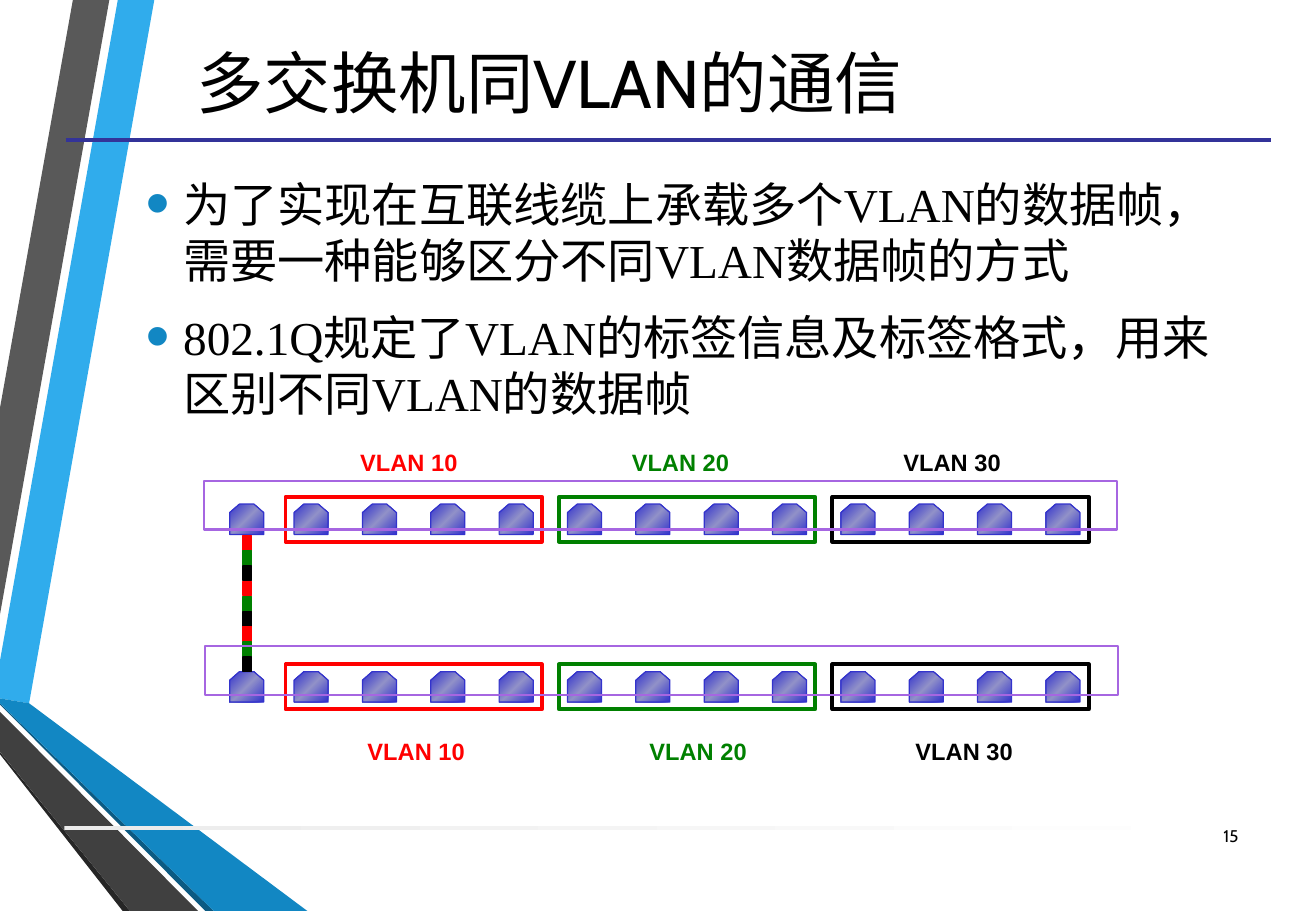
"""Draw a slide on VLAN traffic that spans two switches."""
import copy
import dataclasses
import typing

import lxml.etree
import pptx
import pptx.dml.color
import pptx.enum.shapes
import pptx.enum.text
import pptx.oxml.ns
import pptx.util

Inches = pptx.util.Inches
Pt = pptx.util.Pt
Align = pptx.enum.text.PP_ALIGN
Anchor = pptx.enum.text.MSO_ANCHOR
qn = pptx.oxml.ns.qn
Point = tuple[float, float]


@dataclasses.dataclass(frozen=True)
class Theme:
    """Hold the colours, fonts and sizes."""
    black: str = "000000"
    red: str = "FF0000"
    green: str = "008000"
    rule: str = "333399"
    shell: str = "A666E1"
    port: str = "3333CC"
    shine: str = "9191C8"
    bullet: str = "1287C3"
    fade: tuple[str, ...] = ("EBEBEB", "FFFFFF")
    head: str = "Cabin"
    body: str = "Times New Roman"
    label: str = "Arial"
    head_size: int = 40
    body_size: int = 28
    label_size: int = 14
    page_size: int = 10


@dataclasses.dataclass(frozen=True)
class Box:
    """Place a block, in inches."""
    left: float
    top: float
    width: float
    height: float

    def emu(self) -> list[int]:
        """Give the four lengths."""
        return [Inches(n) for n in dataclasses.astuple(self)]


@dataclasses.dataclass(frozen=True)
class Type:
    """Set the look of a run."""
    font: str
    size: int
    color: str
    bold: bool = False


@dataclasses.dataclass(frozen=True)
class Vlan:
    """Name one VLAN and its colour."""
    name: str
    color: str


@dataclasses.dataclass(frozen=True)
class Switch:
    """Place one switch and its labels."""
    ports: float
    shell: Box
    labels: Point
    widths: tuple[float, ...]


@dataclasses.dataclass(frozen=True)
class Band:
    """Outline one slanted band of the backdrop."""
    color: str
    points: tuple[Point, ...]


THEME = Theme()
VLANS = (Vlan("VLAN 10", THEME.red), Vlan("VLAN 20", THEME.green), Vlan("VLAN 30", THEME.black))
SWITCHES = (
    Switch(4.15, Box(1.68, 3.96, 7.51, 0.4), (2.74, 3.64), (1.25, 1.22, 1.19)),
    Switch(5.53, Box(1.69, 5.32, 7.51, 0.4), (2.8, 6.02), (1.25, 1.39, 1.27)),
)
BANDS = (
    Band("30ACEC", ((0, 5.44), (0, 5.75), (0.24, 5.79), (1.27, 0), (0.97, 0))),
    Band("595959", ((0.9, 0), (0.6, 0), (0, 3.36), (0, 5.06))),
    Band("262626", ((0, 6.19), (0, 6.21), (1.01, 7.5), (1.07, 7.5))),
    Band("0C5A82", ((0, 5.79), (0, 5.8), (1.69, 7.5), (1.76, 7.5))),
    Band("1287C3", ((0, 5.79), (1.76, 7.5), (2.53, 7.5), (0.24, 5.79), (0, 5.75))),
    Band("404040", ((0, 6.19), (1.07, 7.5), (1.63, 7.5), (0, 5.86))),
)
PORT = ((0.08, 0), (0, 0.07), (0, 0.25), (0.28, 0.25), (0.28, 0.07), (0.2, 0))
POINTS = (
    "为了实现在互联线缆上承载多个VLAN的数据帧，需要一种能够区分不同VLAN数据帧的方式",
    "802.1Q规定了VLAN的标签信息及标签格式，用来区别不同VLAN的数据帧",
)
TITLE = "多交换机同VLAN的通信"
PITCH = 2.25
PER_VLAN = 4
STRIPES = 9


def rgb(code: str) -> pptx.dml.color.RGBColor:
    """Turn a hex code into a colour."""
    return pptx.dml.color.RGBColor.from_string(code)


def paint(shape: typing.Any, fill: str = "", line: str = "", width: float = 0.75) -> None:
    """Set a flat fill and line, or none."""
    shape.shadow.inherit = False
    for part, color in ((shape.fill, fill), (shape.line.fill, line)):
        if color:
            part.solid()
            part.fore_color.rgb = rgb(color)
        else:
            part.background()
    if line:
        shape.line.width = Pt(width)


def blend(shape: typing.Any, colors: tuple[str, ...], angle: float) -> None:
    """Fill a shape with evenly spaced colours."""
    shape.fill.gradient()
    shape.fill.gradient_angle = angle
    stops = next(shape._element.iter(qn("a:gsLst")))
    while len(stops) < len(colors):
        stops.append(copy.deepcopy(stops[0]))
    for i, (stop, color) in enumerate(zip(shape.fill.gradient_stops, colors)):
        stop.position = i / (len(colors) - 1)
        stop.color.rgb = rgb(color)


def trace(slide: typing.Any, points: tuple[Point, ...], x: float = 0, y: float = 0) -> typing.Any:
    """Draw a closed outline moved by x and y."""
    spots = [(Inches(x + a), Inches(y + b)) for a, b in points]
    pen = slide.shapes.build_freeform(*spots[0])
    pen.add_line_segments(spots[1:], close=True)
    return pen.convert_to_shape()


def block(slide: typing.Any, box: Box) -> typing.Any:
    """Add a plain block."""
    return slide.shapes.add_shape(pptx.enum.shapes.MSO_SHAPE.RECTANGLE, *box.emu())


def write(para: typing.Any, text: str, kind: Type, align: Align) -> None:
    """Add one run to a paragraph."""
    para.alignment = align
    run = para.add_run()
    run.text = text
    run.font.name = kind.font
    run.font.size = Pt(kind.size)
    run.font.bold = kind.bold
    run.font.color.rgb = rgb(kind.color)


def frame(slide: typing.Any, box: Box, anchor: Anchor = Anchor.TOP) -> typing.Any:
    """Add a text box that wraps."""
    text = slide.shapes.add_textbox(*box.emu()).text_frame
    text.word_wrap = True
    text.vertical_anchor = anchor
    return text


def dot(para: typing.Any) -> None:
    """Give a paragraph its bullet and hanging indent."""
    props = para._p.get_or_add_pPr()
    props.set("marL", str(Inches(0.31)))
    props.set("indent", str(-Inches(0.31)))
    tint = lxml.etree.SubElement(props, qn("a:buClr"))
    lxml.etree.SubElement(tint, qn("a:srgbClr"), val=THEME.bullet)
    lxml.etree.SubElement(props, qn("a:buSzPct"), val="145000")
    lxml.etree.SubElement(props, qn("a:buFont"), typeface=THEME.label)
    lxml.etree.SubElement(props, qn("a:buChar"), char="•")


def draw_back(slide: typing.Any) -> None:
    """Draw the bands and the two rules."""
    for band in BANDS:
        paint(trace(slide, band.points), band.color)
    base = block(slide, Box(0.53, 6.8, 9.75, 0.03))
    paint(base)
    blend(base, THEME.fade, 0)
    rule = slide.shapes.add_connector(
        pptx.enum.shapes.MSO_CONNECTOR.STRAIGHT, *[Inches(n) for n in (0.54, 1.15, 10.46, 1.15)])
    rule.line.color.rgb = rgb(THEME.rule)
    rule.line.width = Pt(2.25)
    lxml.etree.SubElement(rule._element.spPr, qn("a:effectLst"))


def draw_text(slide: typing.Any) -> None:
    """Fill in the title, the points and the page number."""
    title = slide.shapes.title
    title.left, title.top, title.width, title.height = Box(0.43, 0.05, 8.18, 1.24).emu()
    title.text_frame.vertical_anchor = Anchor.MIDDLE
    write(title.text_frame.paragraphs[0], TITLE,
          Type(THEME.head, THEME.head_size, THEME.black), Align.CENTER)
    body = frame(slide, Box(1.1, 1.39, 9.04, 2.16))
    for i, point in enumerate(POINTS):
        para = body.add_paragraph() if i else body.paragraphs[0]
        para.space_before = Pt(0.2 * THEME.body_size)
        para.space_after = Pt(6)
        dot(para)
        write(para, point, Type(THEME.body, THEME.body_size, THEME.black), Align.LEFT)
    page = frame(slide, Box(9.78, 6.68, 0.51, 0.4), Anchor.MIDDLE)
    write(page.paragraphs[0], "15", Type(THEME.head, THEME.page_size, THEME.black), Align.RIGHT)


def draw_switch(slide: typing.Any, switch: Switch) -> None:
    """Draw the ports, frames and labels of a switch."""
    count = PER_VLAN * len(VLANS)
    for x in [1.89] + [2.42 + i * PITCH / PER_VLAN for i in range(count)]:
        port = trace(slide, PORT, x, switch.ports)
        paint(port, line=THEME.port)
        blend(port, (THEME.port, THEME.shine, THEME.port), 315)
    left, top = switch.labels
    for i, (vlan, width) in enumerate(zip(VLANS, switch.widths)):
        group = block(slide, Box(2.35 + i * PITCH, switch.ports - 0.06, 2.11, 0.37))
        paint(group, line=vlan.color, width=2.25)
        label = frame(slide, Box(left + i * PITCH, top, width, 0.34))
        write(label.paragraphs[0], vlan.name,
              Type(THEME.label, THEME.label_size, vlan.color, True), Align.CENTER)


def draw_trunk(slide: typing.Any) -> None:
    """Draw the striped link, then the switch shells."""
    for i in range(STRIPES):
        color = VLANS[i % len(VLANS)].color
        paint(block(slide, Box(2, 4.41 + i * 0.125, 0.07, 0.12)), color, color)
    for switch in SWITCHES:
        paint(block(slide, switch.shell), line=THEME.shell, width=1.25)


def main() -> None:
    """Build and save the deck."""
    deck = pptx.Presentation()
    deck.slide_width, deck.slide_height = Inches(10.83), Inches(7.5)
    slide = deck.slides.add_slide(deck.slide_layouts[5])
    draw_back(slide)
    draw_text(slide)
    for switch in SWITCHES:
        draw_switch(slide, switch)
    draw_trunk(slide)
    deck.save("out.pptx")


if __name__ == "__main__":
    main()
